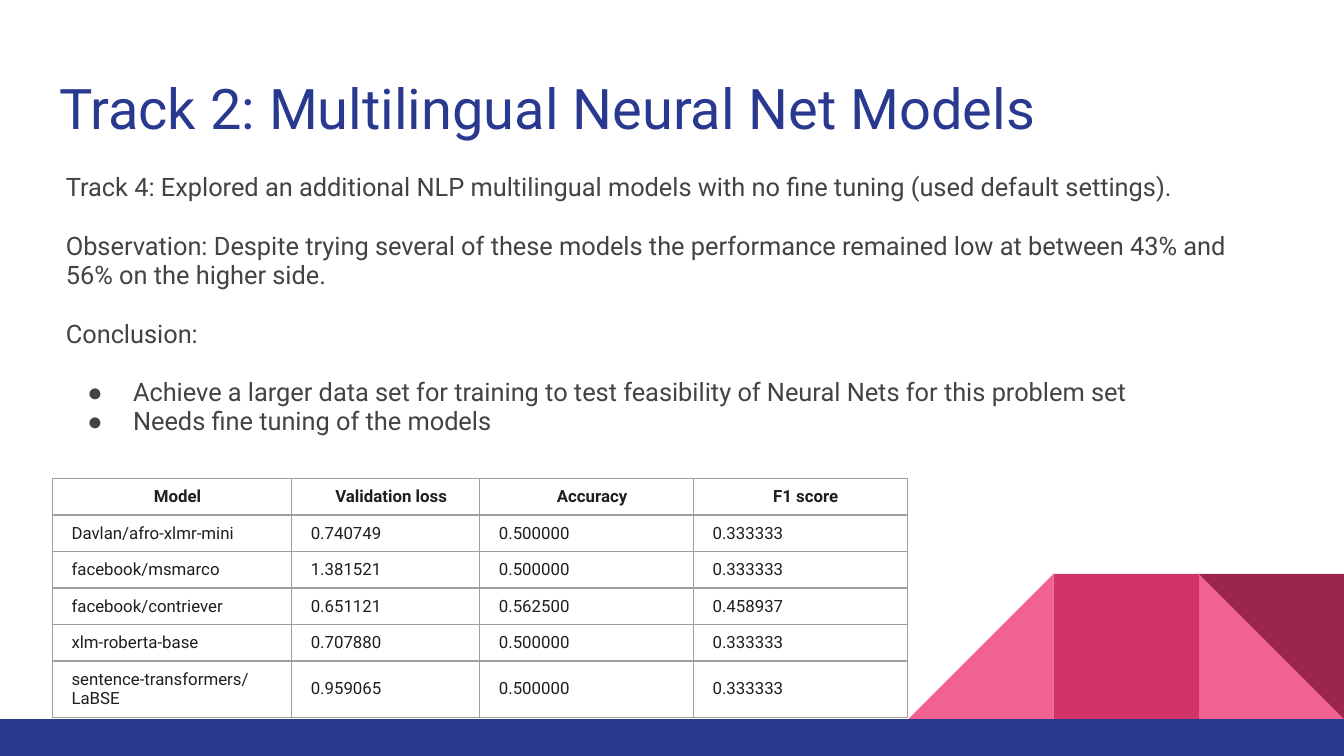
from dataclasses import dataclass

from lxml import etree
from pptx import Presentation
from pptx import util as u
from pptx.dml.color import RGBColor
from pptx.enum import shapes, text
from pptx.oxml import ns


@dataclass(frozen=True)
class Theme:
    font: str = "Roboto"
    blue: str = "2A3990"
    pink: str = "F06292"
    rose: str = "D23369"
    wine: str = "9C254D"
    body: str = "434343"
    cell: str = "1F1F1F"
    border: str = "9E9E9E"
    title_size: float = 30
    body_size: float = 13.6
    cell_size: float = 9
    border_width: float = 0.75


THEME = Theme()

MARGINS = ("margin_left", "margin_top", "margin_right", "margin_bottom")
TITLE = "Track 2: Multilingual Neural Net Models"
# Text, space before in points, bulleted
PARAGRAPHS = [
    ("Track 4: Explored an additional NLP multilingual models with no fine tuning "
     "(used default settings).", 0, False),
    ("Observation: Despite trying several of these models the performance remained low "
     "at between 43% and 56% on the higher side.", 16, False),
    ("Conclusion:", 16, False),
    ("Achieve a larger data set for training to test feasibility of Neural Nets "
     "for this problem set", 16, True),
    ("Needs fine tuning of the models", 0, True),
]
RESULTS = [
    ("Model", "Validation loss", "Accuracy", "F1 score"),
    ("Davlan/afro-xlmr-mini", "0.740749", "0.500000", "0.333333"),
    ("facebook/msmarco", "1.381521", "0.500000", "0.333333"),
    ("facebook/contriever", "0.651121", "0.562500", "0.458937"),
    ("xlm-roberta-base", "0.707880", "0.500000", "0.333333"),
    ("sentence-transformers/LaBSE", "0.959065", "0.500000", "0.333333"),
]
COLUMN_WIDTHS = [1.78, 1.4, 1.59, 1.59]
# Least heights: rows grow to fit their text
ROW_HEIGHTS = [0.23] * 5 + [0.35]


def set_all(target, values):
    for name, value in values.items():
        setattr(target, name, value)


def set_font(font, size, color, bold=False):
    set_all(font, {"name": THEME.font, "size": u.Pt(size), "bold": bold})
    font.color.rgb = RGBColor.from_string(color)


def add_element(parent, tag, **attributes):
    return etree.SubElement(parent, ns.qn(tag), attributes)


def place_placeholder(shape, box):
    for name, value in zip(("left", "top", "width", "height"), box):
        setattr(shape, name, u.Inches(value))
    set_all(shape.text_frame, {
        **dict.fromkeys(MARGINS, u.Inches(0.1)),
        "word_wrap": True,
        "auto_size": text.MSO_AUTO_SIZE.NONE,
        "vertical_anchor": text.MSO_ANCHOR.TOP,
    })


def write_title(shape, box):
    place_placeholder(shape, box)
    paragraph = shape.text_frame.paragraphs[0]
    paragraph.text = TITLE
    paragraph.alignment = text.PP_ALIGN.LEFT
    set_font(paragraph.runs[0].font, THEME.title_size, THEME.blue)


def write_body(shape, box):
    place_placeholder(shape, box)
    frame = shape.text_frame
    for index, (words, space, bulleted) in enumerate(PARAGRAPHS):
        paragraph = frame.add_paragraph() if index else frame.paragraphs[0]
        paragraph.text = words
        set_all(paragraph, {"line_spacing": 0.95, "space_before": u.Pt(space),
                            "space_after": u.Pt(0)})
        properties = paragraph._p.get_or_add_pPr()
        properties.set("marL", str(u.Inches(0.5 if bulleted else 0)))
        properties.set("indent", str(u.Inches(-0.34 if bulleted else 0)))
        if bulleted:
            color = add_element(properties, "a:buClr")
            add_element(color, "a:srgbClr", val=THEME.body)
            add_element(properties, "a:buChar", char="●")
        else:
            add_element(properties, "a:buNone")
        set_font(paragraph.runs[0].font, THEME.body_size, THEME.body)


def draw_borders(cell):
    properties = cell._tc.get_or_add_tcPr()
    for position, side in enumerate(("a:lnL", "a:lnR", "a:lnT", "a:lnB")):
        line = etree.Element(ns.qn(side), w=str(u.Pt(THEME.border_width)))
        fill = add_element(line, "a:solidFill")
        add_element(fill, "a:srgbClr", val=THEME.border)
        properties.insert(position, line)


def add_results_table(slide, left, top):
    frame = slide.shapes.add_table(
        len(RESULTS), len(COLUMN_WIDTHS), u.Inches(left), u.Inches(top),
        u.Inches(sum(COLUMN_WIDTHS)), u.Inches(sum(ROW_HEIGHTS)))
    table = frame.table
    set_all(table, {"first_row": False, "horz_banding": False})
    for column, width in zip(table.columns, COLUMN_WIDTHS):
        column.width = u.Inches(width)
    for row_index, (row, height, values) in enumerate(zip(table.rows, ROW_HEIGHTS, RESULTS)):
        row.height = u.Inches(height)
        header = row_index == 0
        for cell, value in zip(row.cells, values):
            set_all(cell, {**dict.fromkeys(MARGINS, u.Pt(4.5)),
                           "vertical_anchor": text.MSO_ANCHOR.MIDDLE})
            cell.fill.background()
            draw_borders(cell)
            paragraph = cell.text_frame.paragraphs[0]
            paragraph.text = value
            paragraph.alignment = text.PP_ALIGN.CENTER if header else text.PP_ALIGN.LEFT
            paragraph._p.get_or_add_pPr().set("marL", str(u.Inches(0.08)))
            set_font(paragraph.runs[0].font, THEME.cell_size, THEME.cell, header)


def add_block(parent, kind, box, color):
    shape = parent.add_shape(kind, *map(u.Inches, box))
    shape.shadow.inherit = False
    shape.fill.solid()
    shape.fill.fore_color.rgb = RGBColor.from_string(color)
    shape.line.fill.background()
    return shape


def add_corner_pattern(slide, left, top, size):
    """Three square tiles in a row, built from triangles and a square."""
    pattern = slide.shapes.add_group_shape().shapes
    triangle = shapes.MSO_SHAPE.RIGHT_TRIANGLE
    first, middle, last = [(left + size * step, top, size, size) for step in range(3)]
    add_block(pattern, triangle, last, THEME.pink)
    rising = add_block(pattern, triangle, first, THEME.pink)
    rising._element.spPr.get_or_add_xfrm().set("flipH", "1")
    add_block(pattern, shapes.MSO_SHAPE.RECTANGLE, middle, THEME.rose)
    add_block(pattern, triangle, last, THEME.wine).rotation = 180


def build_slide(presentation):
    slide = presentation.slides.add_slide(presentation.slide_layouts[1])
    # Title and text
    write_title(slide.shapes.title, (0.34, 0.45, 9.32, 0.66))
    write_body(slide.placeholders[1], (0.39, 1.19, 9.01, 2.25))
    # Decoration along the bottom
    add_corner_pattern(slide, 6.76, 4.27, 1.08)
    add_block(slide.shapes, shapes.MSO_SHAPE.RECTANGLE, (0, 5.35, 10, 0.28), THEME.blue)
    # Model results
    add_results_table(slide, 0.39, 3.56)


def main():
    presentation = Presentation()
    # 16:9 page, 720 by 405 points
    set_all(presentation, {"slide_width": u.Pt(720), "slide_height": u.Pt(405)})
    build_slide(presentation)
    presentation.save("out.pptx")


if __name__ == "__main__":
    main()
